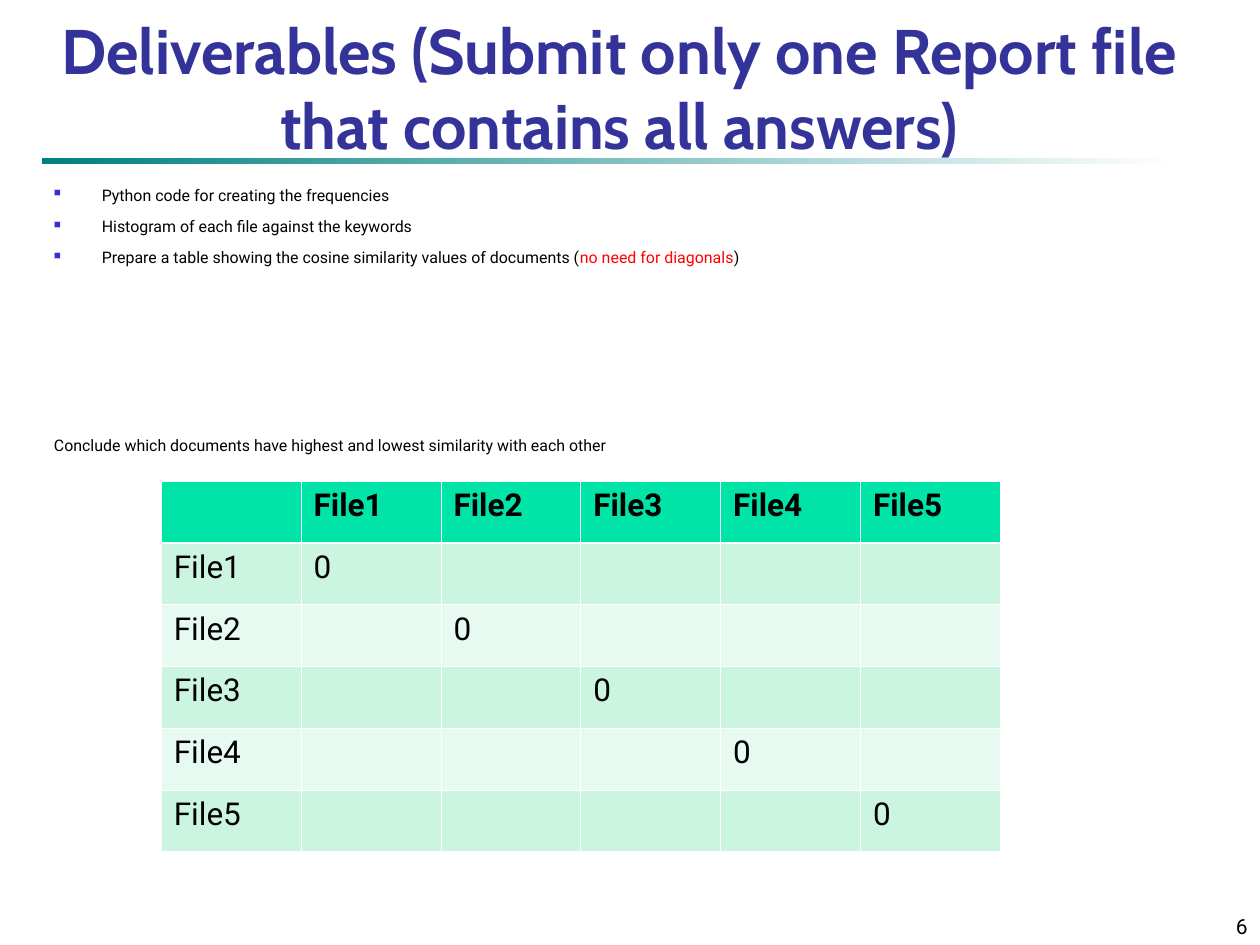
from pptx import Presentation
from pptx.dml.color import RGBColor
from pptx.enum.shapes import MSO_SHAPE as Shape
from pptx.enum.text import MSO_ANCHOR as Anchor, MSO_AUTO_SIZE as AutoSize, PP_ALIGN as Align
from pptx.oxml import parse_xml
from pptx.oxml.ns import nsdecls
from pptx.util import Inches, Pt

INDIGO = RGBColor(0x33, 0x33, 0x99)
BULLET_BLUE = RGBColor(0x33, 0x33, 0xCC)
TEAL = RGBColor(0x00, 0x80, 0x80)
BLACK = RGBColor(0x00, 0x00, 0x00)
WHITE = RGBColor(0xFF, 0xFF, 0xFF)
RED = RGBColor(0xFF, 0x00, 0x00)
HEADER_GREEN = RGBColor(0x00, 0xE4, 0xA8)
BANDS = [RGBColor(0xE7, 0xFA, 0xF1), RGBColor(0xCB, 0xF5, 0xE1)]

BODY_SIZE = 9.1
BULLET_GAP = 7
CONCLUSION_GAP = 96.5
FILES = [f"File{n}" for n in range(1, 6)]
DELIVERABLES = [
    [("Python code for creating the frequencies", BLACK)],
    [("Histogram of each file against the keywords", BLACK)],
    [("Prepare a table showing the cosine similarity values of documents (", BLACK),
     ("no need for diagonals", RED), (")", BLACK)],
]
CONCLUSION = [("Conclude which documents have highest and lowest similarity with each other", BLACK)]


def add_run(p, text, size, color=BLACK, font="Roboto", bold=False):
    r = p.add_run()
    r.text = text
    r.font.name = font
    r.font.size = Pt(size)
    r.font.bold = bold
    r.font.color.rgb = color


def add_text_box(s, left, top, width, height):
    tf = s.shapes.add_textbox(Inches(left), Inches(top), Inches(width), Inches(height)).text_frame
    tf.word_wrap = True
    return tf


def set_title(s, text):
    title = s.shapes.title
    title.left, title.top = Inches(0), Inches(0.67)
    title.width, title.height = Inches(9.83), Inches(0.67)
    tf = title.text_frame
    tf.auto_size = AutoSize.NONE
    tf.vertical_anchor = Anchor.BOTTOM
    p = tf.paragraphs[0]
    p.alignment = Align.CENTER
    add_run(p, text, 36, INDIGO, "Cabin", True)


def add_title_rule(s):
    rule = s.shapes.add_shape(Shape.RECTANGLE, Inches(0.33), Inches(1.25), Inches(9), Inches(0.05))
    rule.shadow.inherit = False
    rule.line.fill.background()
    rule.fill.gradient()
    rule.fill.gradient_angle = 0
    for stop, color in zip(rule.fill.gradient_stops, (TEAL, WHITE)):
        stop.color.rgb = color
    # Send behind the title
    s.shapes._spTree.insert(2, rule._element)


def set_bullet(p):
    pPr = p._p.get_or_add_pPr()
    pPr.set("marL", str(Inches(0.38)))
    pPr.set("indent", str(-Inches(0.38)))
    for tag in (f'<a:buClr {nsdecls("a")}><a:srgbClr val="{BULLET_BLUE}"/></a:buClr>',
                f'<a:buSzPct {nsdecls("a")} val="60000"/>',
                f'<a:buChar {nsdecls("a")} char="■"/>'):
        pPr.append(parse_xml(tag))


def add_deliverables(s):
    tf = add_text_box(s, 0.33, 1.42, 9.17, 2.42)
    for i, runs in enumerate(DELIVERABLES + [CONCLUSION]):
        p = tf.paragraphs[0] if i == 0 else tf.add_paragraph()
        is_bullet = i < len(DELIVERABLES)
        p.space_before = Pt(BULLET_GAP if is_bullet else CONCLUSION_GAP)
        if is_bullet:
            set_bullet(p)
        for text, color in runs:
            add_run(p, text, BODY_SIZE, color)


def set_borders(cell, **widths):
    tcPr = cell._tc.get_or_add_tcPr()
    for i, side in enumerate("LRTB"):
        width = Pt(widths.get(side, 0.45))
        tcPr.insert(i, parse_xml(
            f'<a:ln{side} {nsdecls("a")} w="{width}"><a:solidFill>'
            f'<a:srgbClr val="{WHITE}"/></a:solidFill></a:ln{side}>'))


def add_similarity_table(s):
    n = len(FILES) + 1
    col_width, row_height = Inches(1.11), Inches(0.49)
    table = s.shapes.add_table(n, n, Inches(1.28), Inches(3.82), col_width * n, row_height * n).table
    for row in table.rows:
        row.height = row_height
    labels = [""] + FILES
    for i in range(n):
        for j in range(n):
            cell = table.cell(i, j)
            cell.fill.solid()
            cell.fill.fore_color.rgb = HEADER_GREEN if i == 0 else BANDS[i % 2]
            # Heavier line between the header and the first file
            set_borders(cell, **({"B": 1.47} if i == 0 else {"T": 1.47} if i == 1 else {}))
            # Labels on the edges, zeros on the diagonal
            text = labels[i + j] if i == 0 or j == 0 else "0" if i == j else ""
            if text:
                add_run(cell.text_frame.paragraphs[0], text, 18, bold=i == 0)


def add_page_number(s, number):
    tf = add_text_box(s, 7.92, 7.08, 2.08, 0.42)
    tf.vertical_anchor = Anchor.BOTTOM
    p = tf.paragraphs[0]
    p.alignment = Align.RIGHT
    add_run(p, number, 12)


def main():
    prs = Presentation()
    prs.slide_width, prs.slide_height = Inches(10), Inches(7.5)
    s = prs.slides.add_slide(prs.slide_layouts[5])
    set_title(s, "Deliverables (Submit only one Report file that contains all answers)")
    add_title_rule(s)
    add_deliverables(s)
    add_page_number(s, "6")
    add_similarity_table(s)
    prs.save("out.pptx")


if __name__ == "__main__":
    main()
